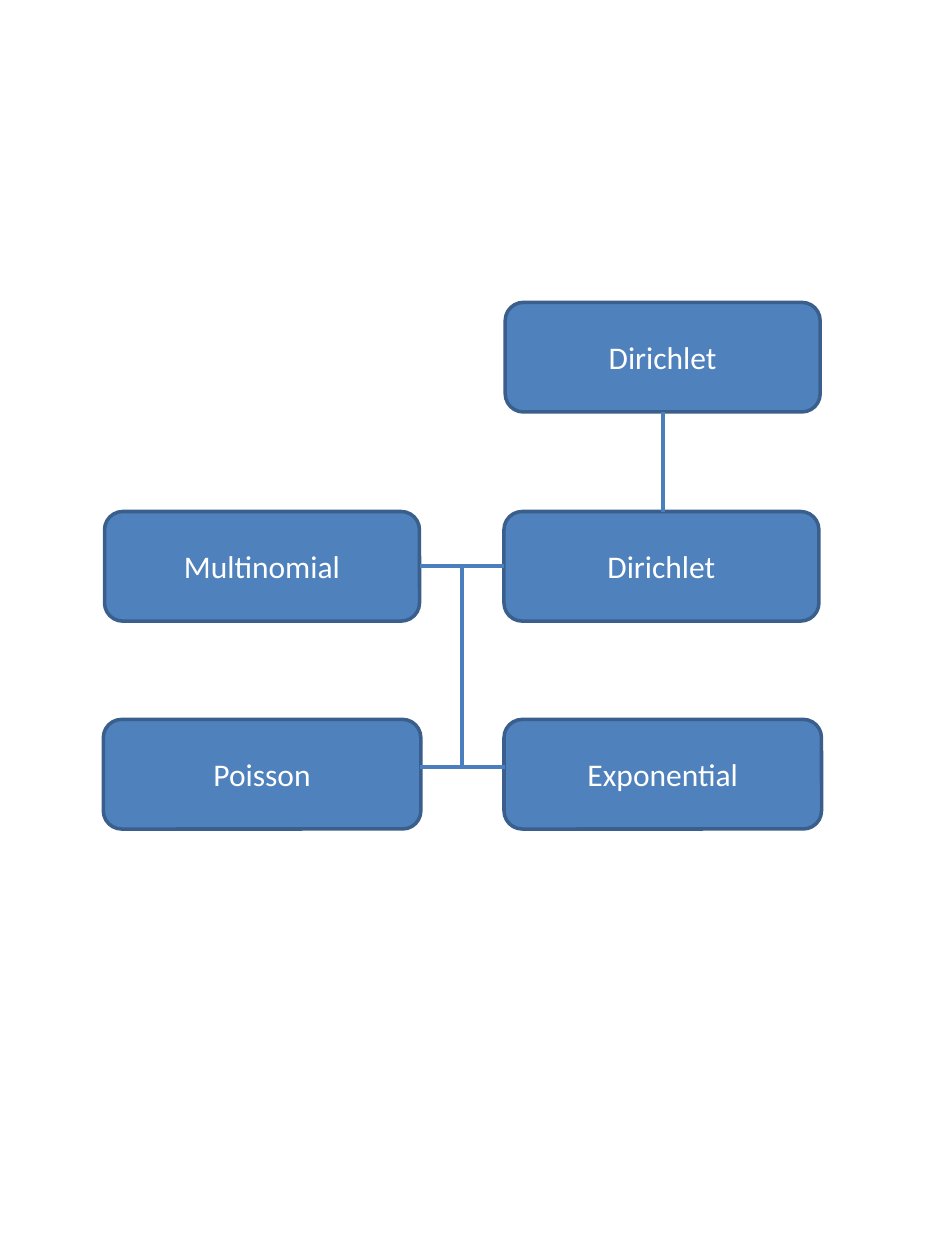
from pptx import Presentation
from pptx.dml.color import RGBColor
from pptx.enum.shapes import MSO_CONNECTOR as CONN, MSO_SHAPE as SHAPE
from pptx.enum.text import MSO_ANCHOR as ANCHOR, PP_ALIGN as ALIGN
from pptx.oxml.ns import qn
from pptx.util import Inches, Pt
from lxml import etree

BOX_H = 0.87
NODES = [
    ("Poisson", 0.82, 5.71, 2.52),
    ("Exponential", 4, 5.71, 2.52),
    ("Multinomial", 0.83, 4.06, 2.5),
    ("Dirichlet", 4, 4.06, 2.5),
    ("Dirichlet", 4.01, 2.4, 2.5),
]
LINKS = [
    (3.33, 4.49, 4, 4.49),
    (3.33, 6.09, 4.01, 6.09),
    (3.67, 4.49, 3.67, 6.09),
    (5.26, 3.27, 5.26, 4.06),
]


def rgb(value):
    return RGBColor.from_string(value)


def add_node(s, text, x, y, w):
    sp = s.shapes.add_shape(SHAPE.ROUNDED_RECTANGLE, Inches(x), Inches(y),
                            Inches(w), Inches(BOX_H))
    sp.shadow.inherit = False
    sp.fill.solid()
    sp.fill.fore_color.rgb = rgb("4F81BD")
    sp.line.color.rgb = rgb("3A5F8C")
    sp.line.width = Pt(2)
    tf = sp.text_frame
    tf.word_wrap = True
    tf.vertical_anchor = ANCHOR.MIDDLE
    p = tf.paragraphs[0]
    p.alignment = ALIGN.CENTER
    r = p.add_run()
    r.text = text
    r.font.name = "Calibri"
    r.font.size = Pt(18)
    r.font.color.rgb = rgb("FFFFFF")


def add_link(s, x1, y1, x2, y2):
    line = s.shapes.add_connector(CONN.STRAIGHT, Inches(x1), Inches(y1),
                                  Inches(x2), Inches(y2))
    line.line.color.rgb = rgb("4B7EBC")
    line.line.width = Pt(2.25)
    etree.SubElement(line._element.spPr, qn("a:effectLst"))


def main():
    prs = Presentation()
    prs.slide_width, prs.slide_height = Inches(7.5), Inches(10)
    s = prs.slides.add_slide(prs.slide_layouts[6])
    for node in NODES:
        add_node(s, *node)
    for link in LINKS:
        add_link(s, *link)
    prs.save("out.pptx")


main()
